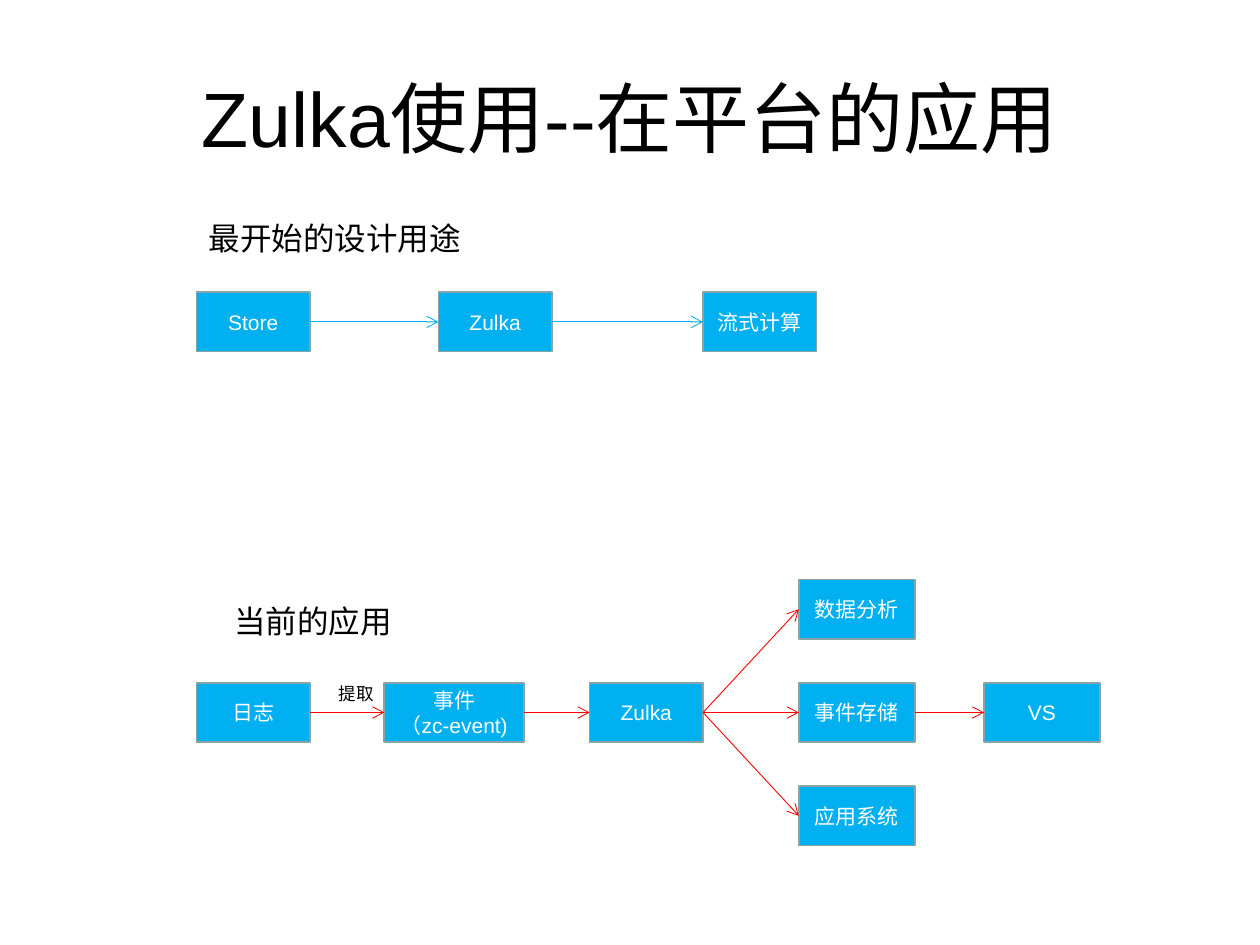
"""Build a slide showing the first and the current use of a message queue in a platform."""
import pptx
import pptx.dml.color
import pptx.enum.shapes
import pptx.enum.text
import pptx.oxml
import pptx.oxml.ns
import pptx.util

BLACK = pptx.dml.color.RGBColor(0x00, 0x00, 0x00)
WHITE = pptx.dml.color.RGBColor(0xFF, 0xFF, 0xFF)
BLUE = pptx.dml.color.RGBColor(0x00, 0xB0, 0xF0)
GREY = pptx.dml.color.RGBColor(0x89, 0xA4, 0xA7)
RED = pptx.dml.color.RGBColor(0xFF, 0x00, 0x00)

FONT = "Arial"
QUEUE_NAME = "Zulka"
SEARCH_NAME = "VS"
NODE_HEIGHT = 0.47
NODE_WIDTH = 0.9
TARGET_WIDTH = 0.92
FIRST_ROW = 2.32
CURRENT_ROW = 5.42
ROW_STEP = 0.82
LEFT_SITE, RIGHT_SITE = 1, 3


def inches(*lengths):
    """Convert lengths in inches to slide units."""
    return [pptx.util.Inches(length) for length in lengths]


def write(frame, text, size, color, align=None):
    """Put text in a frame and format every run alike."""
    frame.text = text
    frame.word_wrap = True
    for para in frame.paragraphs:
        para.alignment = align
        for span in para.runs:
            span.font.name = FONT
            span.font.size = pptx.util.Pt(size)
            span.font.color.rgb = color


def set_title(slide, text):
    """Place and fill the title placeholder."""
    title = slide.shapes.title
    title.left, title.top, title.width, title.height = inches(0.5, 0.3, 9, 1.25)
    write(title.text_frame, text, 44, BLACK, pptx.enum.text.PP_ALIGN.CENTER)
    title.text_frame.vertical_anchor = pptx.enum.text.MSO_ANCHOR.MIDDLE


def add_label(slide, text, left, top, width, height, size):
    """Add a plain caption."""
    box = slide.shapes.add_textbox(*inches(left, top, width, height))
    write(box.text_frame, text, size, BLACK)
    box.text_frame.auto_size = pptx.enum.text.MSO_AUTO_SIZE.SHAPE_TO_FIT_TEXT


def add_node(slide, text, left, top, width=NODE_WIDTH):
    """Add one blue box of the flow."""
    node = slide.shapes.add_shape(
        pptx.enum.shapes.MSO_SHAPE.RECTANGLE, *inches(left, top, width, NODE_HEIGHT))
    node.shadow.inherit = False
    node.fill.solid()
    node.fill.fore_color.rgb = BLUE
    node.line.color.rgb = GREY
    node.line.width = pptx.util.Pt(1)
    write(node.text_frame, text, 12, WHITE, pptx.enum.text.PP_ALIGN.CENTER)
    node.text_frame.vertical_anchor = pptx.enum.text.MSO_ANCHOR.MIDDLE
    return node


def add_arrow(slide, source, target, color):
    """Join the right side of one node to the left side of another."""
    arrow = slide.shapes.add_connector(
        pptx.enum.shapes.MSO_CONNECTOR.STRAIGHT, 0, 0, 0, 0)
    arrow.begin_connect(source, RIGHT_SITE)
    arrow.end_connect(target, LEFT_SITE)
    arrow.line.color.rgb = color
    arrow.line.width = pptx.util.Pt(0.5)
    head = pptx.oxml.parse_xml(
        f'<a:tailEnd {pptx.oxml.ns.nsdecls("a")} type="arrow"/>')
    arrow.line._get_or_add_ln().append(head)
    properties = arrow._element.spPr
    properties.append(
        pptx.oxml.parse_xml(f'<a:effectLst {pptx.oxml.ns.nsdecls("a")}/>'))


def add_chain(slide, nodes, color):
    """Join each node to the next one."""
    for source, target in zip(nodes, nodes[1:]):
        add_arrow(slide, source, target, color)


def add_first_design(slide):
    """Draw the flow as first designed."""
    add_label(slide, "最开始的设计用途", 1.56, 1.69, 2.3, 0.4, 18)
    columns = [("Store", 1.56), (QUEUE_NAME, 3.48), ("流式计算", 5.58)]
    nodes = [add_node(slide, text, left, FIRST_ROW) for text, left in columns]
    add_chain(slide, nodes, BLUE)


def add_current_use(slide):
    """Draw the flow in use now, with its three targets."""
    add_label(slide, "当前的应用", 1.76, 4.73, 2.3, 0.4, 18)
    log = add_node(slide, "日志", 1.56, CURRENT_ROW)
    event = add_node(slide, "事件\n（zc-event)", 3.05, CURRENT_ROW, 1.11)
    queue = add_node(slide, QUEUE_NAME, 4.68, CURRENT_ROW)
    analysis, storage, system = [
        add_node(slide, text, 6.34, CURRENT_ROW + row * ROW_STEP, TARGET_WIDTH)
        for row, text in enumerate(["数据分析", "事件存储", "应用系统"], start=-1)]
    search = add_node(slide, SEARCH_NAME, 7.81, CURRENT_ROW, TARGET_WIDTH)
    add_chain(slide, [log, event, queue, storage, search], RED)
    for target in (analysis, system):
        add_arrow(slide, queue, target, RED)
    add_label(slide, "提取", 2.59, 5.37, 0.66, 0.27, 10)


def main():
    """Build and save the deck."""
    deck = pptx.Presentation()
    deck.slide_width, deck.slide_height = inches(10, 7.5)
    slide = deck.slides.add_slide(deck.slide_layouts.get_by_name("Title Only"))
    set_title(slide, f"{QUEUE_NAME}使用--在平台的应用")
    add_first_design(slide)
    add_current_use(slide)
    deck.save("out.pptx")


if __name__ == "__main__":
    main()
